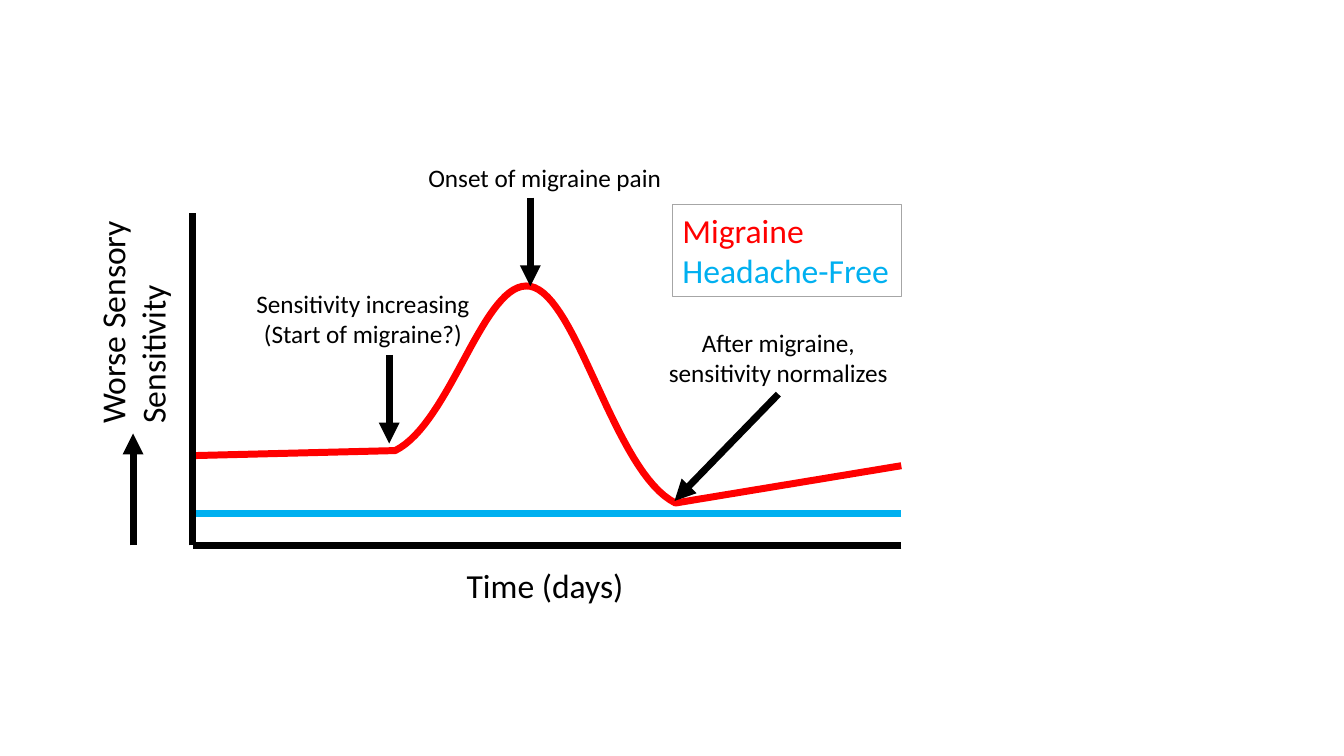
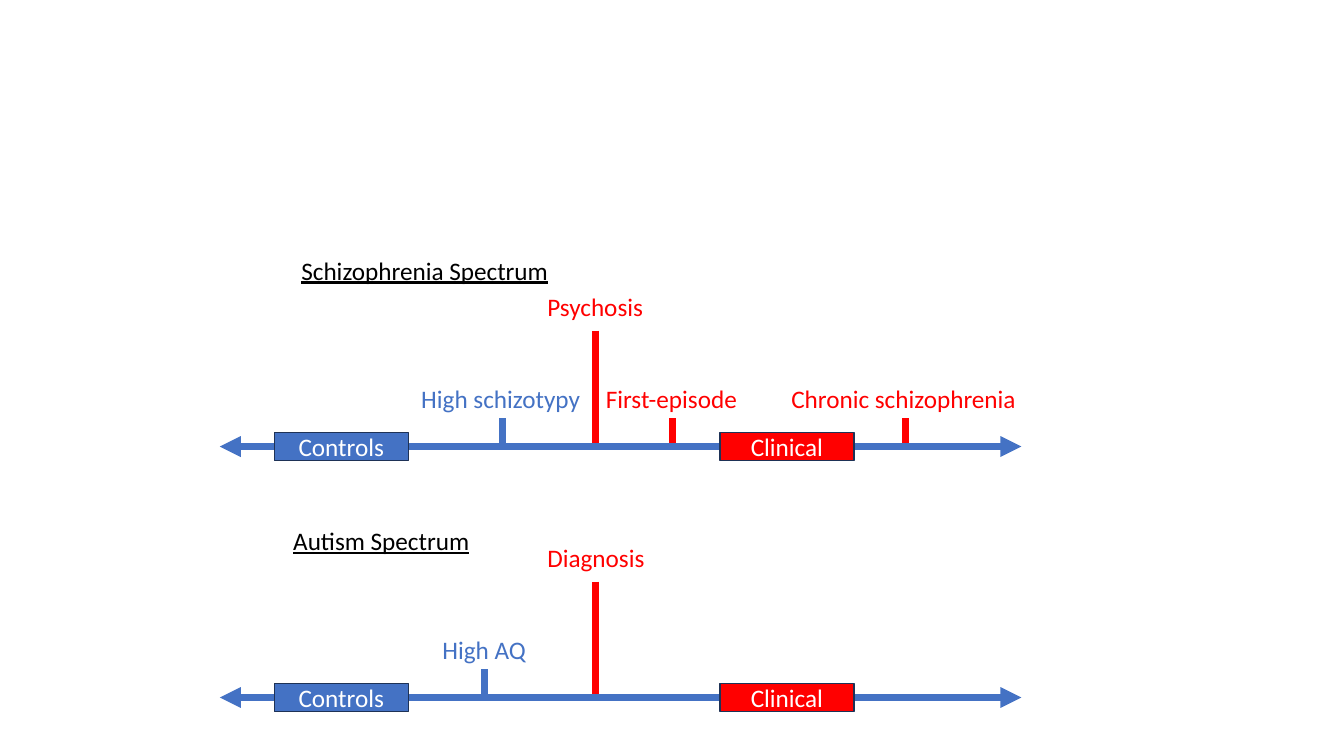
"""Build two slides: a migraine sensitivity curve and two clinical spectra."""
import pptx
import pptx.util
import pptx.dml.color
import pptx.enum.shapes
import pptx.enum.text
import pptx.oxml
import pptx.oxml.ns

Inches, Pt = pptx.util.Inches, pptx.util.Pt
RGBColor = pptx.dml.color.RGBColor
PP_ALIGN = pptx.enum.text.PP_ALIGN
qn = pptx.oxml.ns.qn

BLACK = RGBColor(0x00, 0x00, 0x00)
WHITE = RGBColor(0xFF, 0xFF, 0xFF)
RED = RGBColor(0xFF, 0x00, 0x00)
SKY = RGBColor(0x00, 0xB0, 0xF0)
BLUE = RGBColor(0x44, 0x72, 0xC4)
NAVY = RGBColor(0x1E, 0x32, 0x56)
GRAY = RGBColor(0xA6, 0xA6, 0xA6)
FONT = "Calibri"
STROKE = Pt(5)


def add_label(s, x, y, w, h, lines, colors, size=18, align=PP_ALIGN.LEFT, wrap=False):
    sp = s.shapes.add_textbox(Inches(x), Inches(y), Inches(w), Inches(h))
    tf = sp.text_frame
    tf.word_wrap = wrap
    tf.auto_size = pptx.enum.text.MSO_AUTO_SIZE.SHAPE_TO_FIT_TEXT
    tf.text = "\n".join(lines)
    for p, color in zip(tf.paragraphs, colors):
        p.alignment = align
        p.font.name = FONT
        p.font.size = Pt(size)
        p.font.color.rgb = color
    return sp


def add_line(s, x1, y1, x2, y2, color, arrows=()):
    cn = s.shapes.add_connector(pptx.enum.shapes.MSO_CONNECTOR.STRAIGHT,
                                Inches(x1), Inches(y1), Inches(x2), Inches(y2))
    cn.line.color.rgb = color
    cn.line.width = STROKE
    ln = cn.line._get_or_add_ln()
    for end in arrows:
        pptx.oxml.ns.nsdecls("a")
        ln.append(pptx.oxml.parse_xml(f'<a:{end} {pptx.oxml.ns.nsdecls("a")} type="triangle"/>'))
    cn._element.spPr.append(pptx.oxml.parse_xml(f'<a:effectLst {pptx.oxml.ns.nsdecls("a")}/>'))
    return cn


prs = pptx.Presentation()
prs.slide_width, prs.slide_height = Inches(13.33), Inches(7.5)
blank = prs.slide_layouts[6]

s = prs.slides.add_slide(blank)
LEFT, RIGHT, BOTTOM = 1.91, 8.94, 5.41

curve = [(3.92, 4.47)]
for bezier in [((3.92, 4.47), (4.48, 4.19), (4.8, 2.76), (5.26, 2.84)),
               ((5.26, 2.84), (5.73, 2.93), (6.09, 4.69), (6.7, 4.99))]:
    for step in range(1, 33):
        t = step / 32
        weights = ((1 - t) ** 3, 3 * t * (1 - t) ** 2, 3 * t ** 2 * (1 - t), t ** 3)
        curve.append(tuple(sum(k * pt[axis] for k, pt in zip(weights, bezier)) for axis in (0, 1)))
curve.append((RIGHT, 4.62))
fb = s.shapes.build_freeform(Inches(LEFT), Inches(4.52))
fb.add_line_segments([(Inches(x), Inches(y)) for x, y in curve], close=False)
sp = fb.convert_to_shape()
sp.shadow.inherit = False
sp.fill.background()
sp.line.color.rgb = RED
sp.line.width = STROKE

add_line(s, LEFT, 5.09, RIGHT, 5.09, SKY)
add_line(s, LEFT, BOTTOM, LEFT, 2.11, BLACK)
add_line(s, RIGHT, BOTTOM, LEFT, BOTTOM, BLACK)

add_label(s, 4.53, 5.56, 1.77, 0.5, ["Time (days)"], [BLACK], 24)
sp = add_label(s, 0.2, 2.73, 2.23, 0.91, ["Worse Sensory", "Sensitivity"], [BLACK] * 2, 24)
sp.rotation = 270
add_label(s, 4.15, 1.56, 2.54, 0.4, ["Onset of migraine pain"], [BLACK])
add_label(s, 2.43, 2.81, 2.34, 0.71, ["Sensitivity increasing", "(Start of migraine?)"],
          [BLACK] * 2, align=PP_ALIGN.CENTER)
after = add_label(s, 6.5, 3.2, 2.44, 0.71, ["After migraine, sensitivity normalizes"],
                  [BLACK], align=PP_ALIGN.CENTER, wrap=True)

for x, y1, y2 in [(1.32, BOTTOM, 4.3), (5.26, 1.96, 2.84), (3.86, 3.52, 4.4)]:
    add_line(s, x, y1, x, y2, BLACK, ["tailEnd"])
cn = add_line(s, 7.72, 3.91, 6.69, 4.97, BLACK, ["tailEnd"])
cn.begin_connect(after, 2)

legend = add_label(s, 6.67, 2.03, 2.27, 0.91, ["Migraine", "Headache-Free"], [RED, SKY], 24)
legend.line.color.rgb = GRAY
legend.line.width = Pt(0.75)

s = prs.slides.add_slide(blank)
THRESHOLD_X = 5.91
spectra = [
    (4.43, "Schizophrenia Spectrum", (2.89, 2.48, 2.68), "Psychosis", 1.16,
     [("High schizotypy", 4.98, 1.8, BLUE), ("First-episode", 6.67, 1.52, RED),
      ("Chronic schizophrenia", 8.98, 2.46, RED)]),
    (6.92, "Autism Spectrum", (2.81, 5.16, 1.97), "Diagnosis", 1.18,
     [("High AQ", 4.81, 1.04, BLUE)]),
]
for y, heading, (hx, hy, hw), threshold, tw, milestones in spectra:
    for text, x, w, color in milestones:
        sp = add_label(s, x - w / 2, y - 0.68, w, 0.4, [text], [color])
        cn = add_line(s, x, y - 0.28, x, y, color)
        cn.begin_connect(sp, 2)
    add_label(s, 5.33, y - 1.59, tw, 0.4, [threshold], [RED])
    add_line(s, THRESHOLD_X, y - 1.15, THRESHOLD_X, y, RED)
    add_line(s, 2.18, y, 10.13, y, BLUE, ["headEnd", "tailEnd"])
    for text, x, color in [("Clinical", 7.14, RED), ("Controls", 2.72, BLUE)]:
        sp = s.shapes.add_shape(pptx.enum.shapes.MSO_SHAPE.RECTANGLE,
                                Inches(x), Inches(y - 0.14), Inches(1.33), Inches(0.28))
        sp.shadow.inherit = False
        sp.fill.solid()
        sp.fill.fore_color.rgb = color
        sp.line.color.rgb = NAVY
        sp.line.width = Pt(1)
        tf = sp.text_frame
        tf.text = text
        tf.vertical_anchor = pptx.enum.text.MSO_ANCHOR.MIDDLE
        p = tf.paragraphs[0]
        p.alignment = PP_ALIGN.CENTER
        p.font.name = FONT
        p.font.size = Pt(18)
        p.font.color.rgb = WHITE
    sp = add_label(s, hx, hy, hw, 0.4, [heading], [BLACK])
    sp.text_frame.paragraphs[0].font.underline = True

prs.save("out.pptx")
